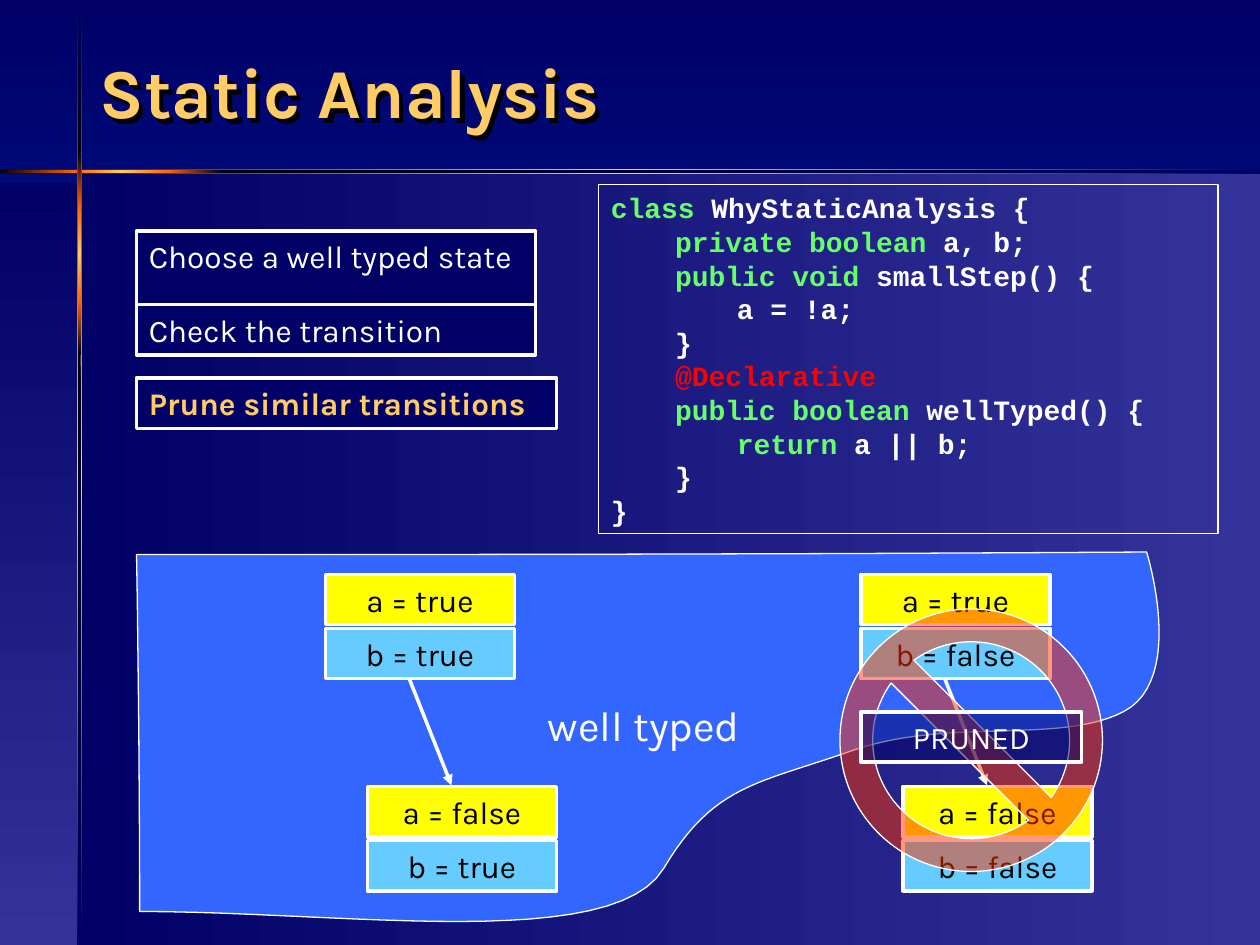
from copy import deepcopy
from itertools import pairwise

from lxml import etree
from pptx import Presentation, util as u
from pptx.dml.color import RGBColor
from pptx.enum import shapes, text
from pptx.oxml.ns import qn

COLS, ROWS = 120, 90
BLACK = RGBColor(0, 0, 0)
WHITE = RGBColor(255, 255, 255)
NAVY = RGBColor(0, 0, 0x66)
INDIGO = RGBColor(0x33, 0x33, 0x99)
COBALT = RGBColor(0, 0x33, 0xCC)
BLUE = RGBColor(0x33, 0x66, 0xFF)
SKY = RGBColor(0x66, 0xCC, 0xFF)
YELLOW = RGBColor(255, 255, 0)
GOLD = RGBColor(0xFF, 0xCC, 0x66)
ORANGE = RGBColor(0xFF, 0x66, 0)
SCARLET = RGBColor(0xFF, 0x33, 0)
RED = RGBColor(255, 0, 0)
GREEN = RGBColor(0x66, 0xFF, 0x66)

prs = Presentation()
prs.slide_width, prs.slide_height = u.Inches(10), u.Inches(7.5)


def grid(*values):
    return [round(v * prs.slide_width / COLS) for v in values]


def sub(parent, tag, **attrs):
    return etree.SubElement(parent, qn(tag), {k: str(v) for k, v in attrs.items()})


def gradient(fill, element, colors, vertical):
    fill.gradient()
    fill.gradient_angle = 270 if vertical else 0
    stops = next(element.iter(qn("a:gsLst")))
    while len(stops) < len(colors):
        stops.append(deepcopy(stops[0]))
    for i, (stop, color) in enumerate(zip(fill.gradient_stops, colors)):
        stop.color.rgb = color
        stop.position = i / (len(colors) - 1)


def paint(sp, fill=None, line=None, alpha=None):
    sp.shadow.inherit = False
    if fill is None:
        sp.fill.background()
    else:
        sp.fill.solid()
        sp.fill.fore_color.rgb = fill
    if alpha:
        sub(next(sp.element.spPr.iter(qn("a:srgbClr"))), "a:alpha", val=alpha * 1000)
    if line:
        sp.line.color.rgb = WHITE
        sp.line.width = u.Pt(line)
    else:
        sp.line.fill.background()


def shape(s, box, kind=shapes.MSO_SHAPE.RECTANGLE, **look):
    sp = s.shapes.add_shape(kind, *grid(*box))
    paint(sp, **look)
    return sp


def band(s, box, colors, vertical=False):
    sp = shape(s, box)
    gradient(sp.fill, sp.element, colors, vertical)


def write(sp, lines, size=18, font="Karla", color=WHITE, bold=False,
          align=text.PP_ALIGN.LEFT, anchor=text.MSO_ANCHOR.TOP,
          before=None, spacing=None, tabs=()):
    tf = sp.text_frame
    tf.word_wrap = True
    tf.vertical_anchor = anchor
    if isinstance(lines, str):
        lines = [[(lines, color)]]
    for i, line in enumerate(lines):
        p = tf.paragraphs[0] if i == 0 else tf.add_paragraph()
        p.alignment = align
        if before is not None:
            p.space_before = u.Pt(before)
        if spacing:
            p.line_spacing = spacing
        if tabs:
            stops = sub(p._p.get_or_add_pPr(), "a:tabLst")
            for tab in tabs:
                sub(stops, "a:tab", pos=u.Inches(tab), algn="l")
        for words, shade in line:
            r = p.add_run()
            r.text = words
            r.font.size, r.font.name, r.font.bold = u.Pt(size), font, bold
            r.font.color.rgb = shade


def backdrop(s):
    gradient(s.background.fill, s.element, [NAVY, COBALT], True)
    band(s, (7.4, 16.3, COLS - 7.4, ROWS - 16.3), [NAVY, INDIGO])
    band(s, (0, 17.4, 7.4, ROWS - 17.4), [NAVY, INDIGO], True)
    glow = [ORANGE, GOLD, ORANGE]
    rise, fall = [BLACK, ORANGE], [ORANGE, BLACK]
    band(s, (0, 16.1, COLS, 0.5), [NAVY, GOLD, NAVY])
    for (x0, x1), colors in zip(pairwise((0, 7.2, 16, 21.2, COLS)),
                                (rise, glow, fall, [BLACK, NAVY])):
        band(s, (x0, 16.2, x1 - x0, 0.25), colors)
    band(s, (7.3, 0, 0.55, ROWS), [NAVY, GOLD, NAVY], True)
    for (y0, y1), colors in zip(pairwise((0.1, 14.5, 19.8, 28.6, 33.8, ROWS)),
                                ([NAVY, BLACK], rise, glow, fall, [BLACK, NAVY])):
        band(s, (7.44, y0, 0.25, y1 - y0), colors, True)


def title(s, box):
    sp = s.shapes.add_textbox(*grid(*box))
    write(sp, "Static Analysis", size=40, color=GOLD, bold=True,
          anchor=text.MSO_ANCHOR.MIDDLE, spacing=0.9)
    shadow = sub(sub(sp.element.spPr, "a:effectLst"), "a:outerShdw",
                 dist=u.Inches(0.05), dir=2700000, algn="ctr", rotWithShape=0)
    sub(shadow, "a:srgbClr", val=BLACK)


def region(s, box):
    x, y, w, h = box
    start = (0.003, 0.889)
    curves = [
        ((0.003, 0.456), (0, -0.013), (0, 0.008)),
        ((0, 0.008), (0.482, 0.01), (0.962, 0.002)),
        ((0.962, 0.002), (1, 0.316), (0.94, 0.396)),
        ((0.88, 0.477), (0.774, 0.41), (0.684, 0.49)),
        ((0.592, 0.574), (0.55, 0.574), (0.502, 0.783)),
        ((0.454, 0.99), (0.199, 0.889), start),
    ]
    points, a, steps = [start], start, 24
    for b, c, d in curves:
        for i in range(1, steps + 1):
            t = i / steps
            points.append(tuple(
                (1 - t) ** 3 * a[k] + 3 * t * (1 - t) ** 2 * b[k]
                + 3 * t * t * (1 - t) * c[k] + t ** 3 * d[k] for k in (0, 1)))
        a = d
    points = [grid(x + px * w, y + py * h) for px, py in points]
    fb = s.shapes.build_freeform(*points[0])
    fb.add_line_segments(points[1:], close=True)
    paint(fb.convert_to_shape(), fill=BLUE, line=0.75)


def state(s, x, y, values):
    for i, (name, value, fill) in enumerate(zip("ab", values, (YELLOW, SKY))):
        sp = shape(s, (x, y + 5.15 * i, 18, 4.8), fill=fill, line=2)
        write(sp, f"{name} = {value}", color=BLACK, align=text.PP_ALIGN.CENTER,
              anchor=text.MSO_ANCHOR.MIDDLE)


def transition(s, x, y, b):
    c = s.shapes.add_connector(shapes.MSO_CONNECTOR.STRAIGHT,
                               *grid(x + 8, y + 10, x + 12, y + 20.1))
    c.line.color.rgb, c.line.width = WHITE, u.Pt(2)
    sub(c.line._get_or_add_ln(), "a:tailEnd", type="triangle")
    sub(c.element.spPr, "a:effectLst")
    state(s, x, y, ("true", b))
    state(s, x + 4, y + 20.2, ("false", b))


def steps(s, x, y):
    for words, dy, w, h, color in (
            ("Choose a well typed state", 0, 38, 8.4, WHITE),
            ("Check the transition", 7, 38, 4.8, WHITE),
            ("Prune similar transitions", 14, 40, 4.8, GOLD)):
        sp = shape(s, (x, y + dy, w, h), fill=NAVY, line=2)
        write(sp, words, color=color, bold=color == GOLD, before=11.2)


def code(s, box):
    lines = [
        [("class", GREEN), (" WhyStaticAnalysis {", WHITE)],
        [("\tprivate boolean", GREEN), (" a, b;", WHITE)],
        [("\tpublic void", GREEN), (" smallStep() {", WHITE)],
        [("\t\ta = !a;", WHITE)],
        [("\t}", WHITE)],
        [("\t@Declarative", RED)],
        [("\tpublic boolean", GREEN), (" wellTyped() {", WHITE)],
        [("\t\treturn", GREEN), (" a || b;", WHITE)],
        [("\t}", WHITE)],
        [("}", WHITE)],
    ]
    write(shape(s, box, line=0.75), lines, size=16, font="Courier New",
          bold=True, tabs=(0.51, 1, 2))


def pruned(s, x, y):
    sign = shape(s, (x, y, 25, 25), shapes.MSO_SHAPE.NO_SYMBOL,
                 fill=SCARLET, line=0.75, alpha=50)
    sign.adjustments[0] = 0.125
    label = shape(s, (x + 2, y + 9.8, 21, 4.8), fill=NAVY, line=2, alpha=50)
    write(label, "PRUNED", align=text.PP_ALIGN.CENTER, before=11.2)


def main():
    s = prs.slides.add_slide(prs.slide_layouts[6])
    backdrop(s)
    region(s, (13, 52.5, 100, 38.6))
    title(s, (8.3, 2.6, 108.8, 13.1))
    transition(s, 31, 54.7, "true")
    steps(s, 13, 22)
    transition(s, 82, 54.7, "false")
    write(s.shapes.add_textbox(*grid(51, 66, 23, 6)), "well typed",
          size=24, before=15)
    code(s, (57, 17.6, 59, 33.2))
    pruned(s, 80, 58)
    prs.save("out.pptx")


if __name__ == "__main__":
    main()
